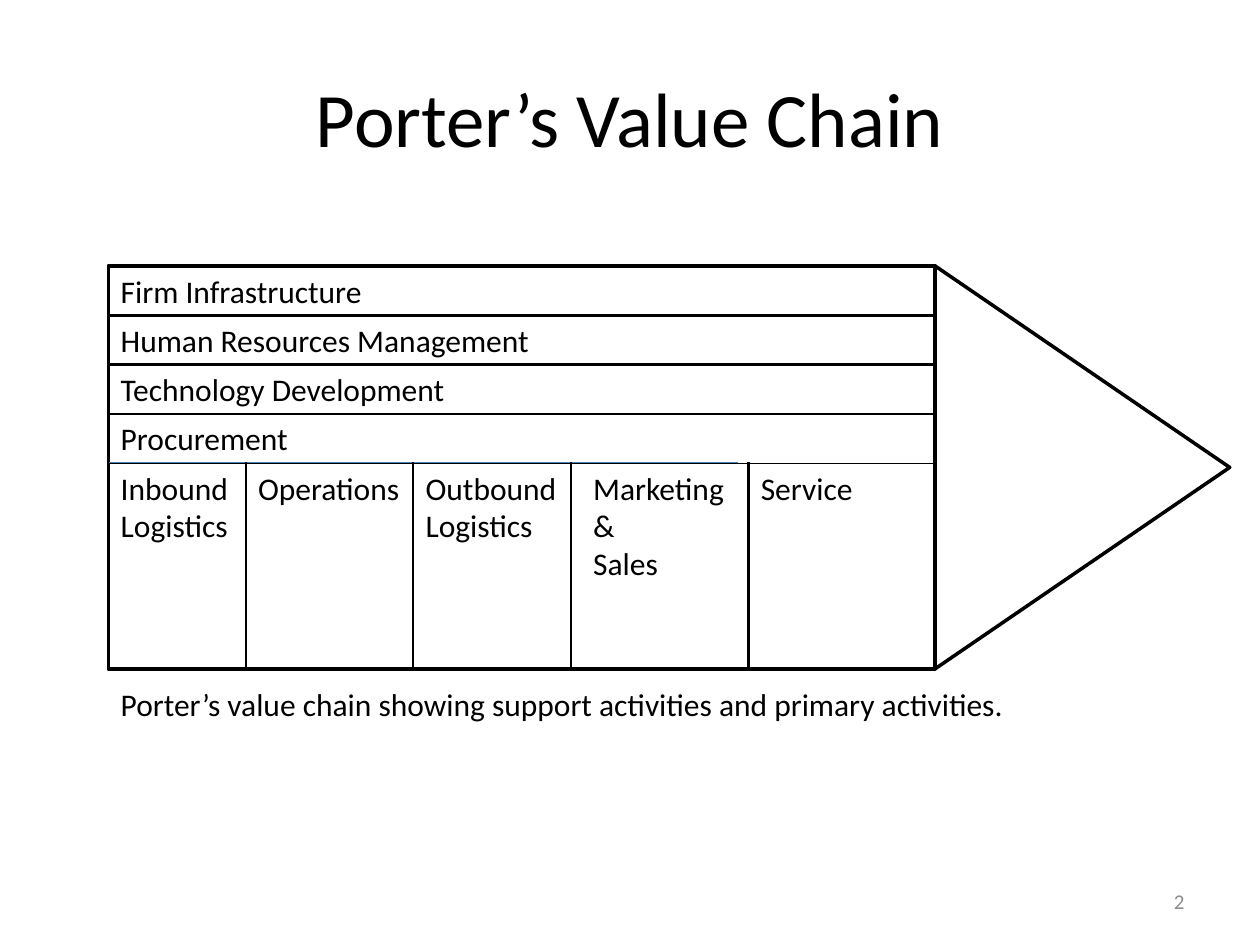
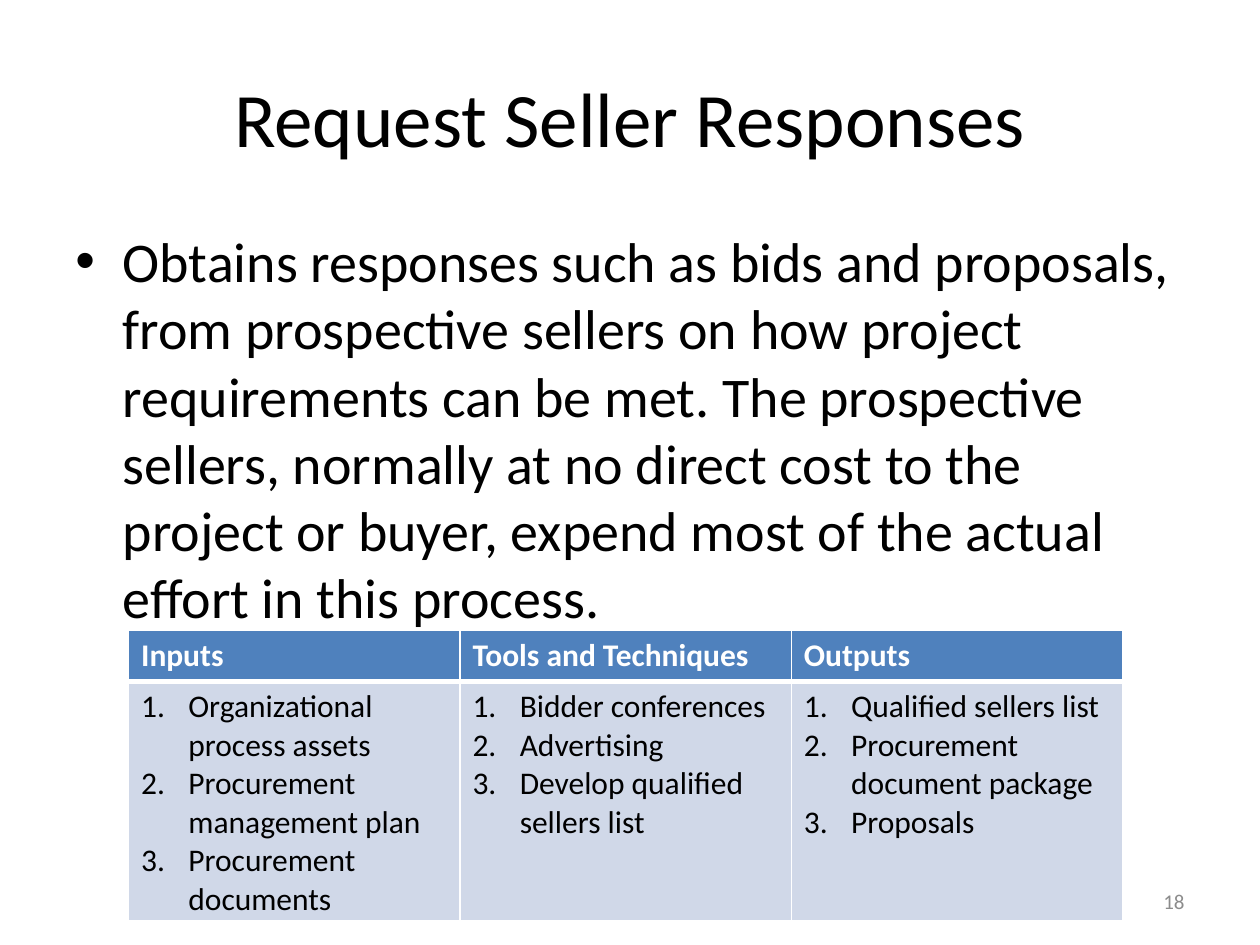
import pptx
import pptx.dml.color
import pptx.enum.shapes
import pptx.enum.text
import pptx.oxml.ns
import pptx.util
from lxml import etree

Inches = pptx.util.Inches
Pt = pptx.util.Pt
qn = pptx.oxml.ns.qn
PRESET = pptx.enum.shapes.MSO_SHAPE
ALIGN = pptx.enum.text.PP_ALIGN
ANCHOR = pptx.enum.text.MSO_ANCHOR

FONT = "Calibri"
COLORS = {
    "ink": "000000",
    "paper": "FFFFFF",
    "number": "8C8C8C",
    "divider": "4B7EBC",
    "header": "4F81BD",
    "cell": "D0D8E8",
}
TITLE_BOX = (0.5, 0.3, 9, 1.25)
NUMBER_BOX = (7.17, 6.95, 2.33, 0.4)
TITLE_ONLY = 5
HANGING = 0.375

SUPPORT_ACTIVITIES = [
    "Firm Infrastructure",
    "Human Resources Management",
    "Technology Development",
    "Procurement",
]
# Offset from the chain's left side, width, lines of text
PRIMARY_ACTIVITIES = [
    (0, 1.12, ["Inbound", "Logistics"]),
    (1.09, 1.33, ["Operations"]),
    (2.42, 1.33, ["Outbound", "Logistics"]),
    (3.75, 1.33, ["Marketing &", "Sales"]),
    (5.08, 1.33, ["Service"]),
]
COLUMN_DIVIDERS = [1.09, 2.42, 3.67, 5.08]

RESPONSES_TEXT = (
    "Obtains responses such as bids and proposals, from prospective sellers "
    "on how project requirements can be met. The prospective sellers, "
    "normally at no direct cost to the project or buyer, expend most of the "
    "actual effort in this process."
)
PROCESS_COLUMNS = {
    "Inputs": [
        "Organizational process assets",
        "Procurement management plan",
        "Procurement documents",
    ],
    "Tools and Techniques": [
        "Bidder conferences",
        "Advertising",
        "Develop qualified sellers list",
    ],
    "Outputs": [
        "Qualified sellers list",
        "Procurement document package",
        "Proposals",
    ],
}


def rgb(name):
    return pptx.dml.color.RGBColor.from_string(COLORS[name])


def inches(box):
    return [Inches(length) for length in box]


def add_bullet(para, kind, **attributes):
    """Give the paragraph a hanging indent and a buChar or buAutoNum mark."""
    properties = para._p.get_or_add_pPr()
    properties.set("marL", str(Inches(HANGING)))
    properties.set("indent", str(-Inches(HANGING)))
    typeface = "Arial" if kind == "buChar" else "+mj-lt"
    etree.SubElement(properties, qn("a:buFont"), typeface=typeface)
    etree.SubElement(properties, qn("a:" + kind), **attributes)


def write(frame, lines, size=18, color="ink", align=ALIGN.LEFT, bold=False,
          bullet=None):
    for index, line in enumerate(lines):
        para = frame.add_paragraph() if index else frame.paragraphs[0]
        if bullet:
            add_bullet(para, **bullet)
        para.alignment = align
        span = para.add_run()
        span.text = line
        span.font.name = FONT
        span.font.size = Pt(size)
        span.font.bold = bold
        span.font.color.rgb = rgb(color)


def add_text(shapes, box, lines, anchor=ANCHOR.TOP, wrap=True, **style):
    frame = shapes.add_textbox(*inches(box)).text_frame
    frame.word_wrap = wrap
    frame.vertical_anchor = anchor
    write(frame, lines, **style)


def add_outline(shapes, preset, box, width, fill=None):
    shape = shapes.add_shape(preset, *inches(box))
    shape.shadow.inherit = False
    if fill:
        shape.fill.solid()
        shape.fill.fore_color.rgb = rgb(fill)
    else:
        shape.fill.background()
    shape.line.color.rgb = rgb("ink")
    shape.line.width = Pt(width)
    return shape


def add_line(shapes, start, end, width, color="ink"):
    line = shapes.add_connector(pptx.enum.shapes.MSO_CONNECTOR.STRAIGHT,
                                *inches(start + end))
    line.line.color.rgb = rgb(color)
    line.line.width = Pt(width)
    etree.SubElement(line._element.spPr, qn("a:effectLst"))


def add_page(deck, title, number):
    page = deck.slides.add_slide(deck.slide_layouts[TITLE_ONLY])
    heading = page.shapes.title
    heading.left, heading.top, heading.width, heading.height = inches(TITLE_BOX)
    heading.text_frame.vertical_anchor = ANCHOR.MIDDLE
    write(heading.text_frame, [title], size=44, align=ALIGN.CENTER)
    add_text(page.shapes, NUMBER_BOX, [number], anchor=ANCHOR.MIDDLE,
             size=12, color="number", align=ALIGN.RIGHT)
    return page


def add_support_rows(shapes, box):
    left, top, width, height = box
    pitch = height / len(SUPPORT_ACTIVITIES)
    for index, activity in enumerate(SUPPORT_ACTIVITIES):
        row = add_outline(shapes, PRESET.RECTANGLE,
                          (left, top + index * pitch, width, 0.4), 0.75)
        row.text_frame.word_wrap = True
        row.text_frame.vertical_anchor = ANCHOR.TOP
        write(row.text_frame, [activity])


def add_primary_columns(shapes, box):
    left, top, _, height = box
    for offset, width, lines in PRIMARY_ACTIVITIES:
        add_text(shapes, (left + offset, top, width, 0.4 + 0.3 * (len(lines) - 1)),
                 lines)
    for offset in COLUMN_DIVIDERS:
        add_line(shapes, (left + offset, top), (left + offset, top + height), 1.25)


def add_value_chain(page, box, tip_length, support_height):
    """Draw the activity block and the margin triangle on its right side."""
    left, top, width, height = box
    shapes = page.shapes.add_group_shape().shapes
    add_outline(shapes, PRESET.RECTANGLE, box, 2, fill="paper")
    # A quarter turn swaps the triangle's sides about its centre
    center_x = left + width + tip_length / 2
    center_y = top + height / 2
    tip = add_outline(shapes, PRESET.ISOSCELES_TRIANGLE,
                      (center_x - height / 2, center_y - tip_length / 2,
                       height, tip_length), 2)
    tip.rotation = 90
    middle = top + support_height
    add_line(shapes, (left, middle), (left + 5, middle), 1, "divider")
    add_support_rows(shapes, (left, top, width, support_height))
    add_primary_columns(shapes, (left, middle, width, height - support_height))
    add_text(page.shapes, (left, top + height + 0.08, 7.23, 0.4),
             ["Porter’s value chain showing support activities and primary activities."],
             wrap=False)


def style_cell(cell, fill, bottom_width):
    properties = cell._tc.get_or_add_tcPr()
    for side, width in (("L", 1), ("R", 1), ("T", 1), ("B", bottom_width)):
        border = etree.SubElement(properties, qn("a:ln" + side), w=str(Pt(width)))
        paint = etree.SubElement(border, qn("a:solidFill"))
        etree.SubElement(paint, qn("a:srgbClr"), val=COLORS["paper"])
    cell.fill.solid()
    cell.fill.fore_color.rgb = rgb(fill)


def add_process_table(page, box, header_height):
    table = page.shapes.add_table(2, len(PROCESS_COLUMNS), *inches(box)).table
    table.rows[0].height = Inches(header_height)
    table.rows[1].height = Inches(box[3] - header_height)
    numbered = {"kind": "buAutoNum", "type": "arabicPeriod"}
    for index, (heading, items) in enumerate(PROCESS_COLUMNS.items()):
        header, body = table.cell(0, index), table.cell(1, index)
        style_cell(header, "header", 3)
        write(header.text_frame, [heading], color="paper", bold=True)
        style_cell(body, "cell", 1)
        write(body.text_frame, items, bullet=numbered)


def main():
    deck = pptx.Presentation()
    deck.slide_width, deck.slide_height = Inches(10), Inches(7.5)

    page = add_page(deck, "Porter’s Value Chain", "2")
    add_value_chain(page, (0.86, 2.11, 6.56, 3.2), tip_length=2.34,
                    support_height=1.56)

    page = add_page(deck, "Request Seller Responses", "18")
    add_text(page.shapes, (0.5, 1.75, 9, 4.95), [RESPONSES_TEXT], size=32,
             bullet={"kind": "buChar", "char": "•"})
    add_process_table(page, (1.02, 5, 7.89, 2.31), header_height=0.41)

    deck.save("out.pptx")


if __name__ == "__main__":
    main()
